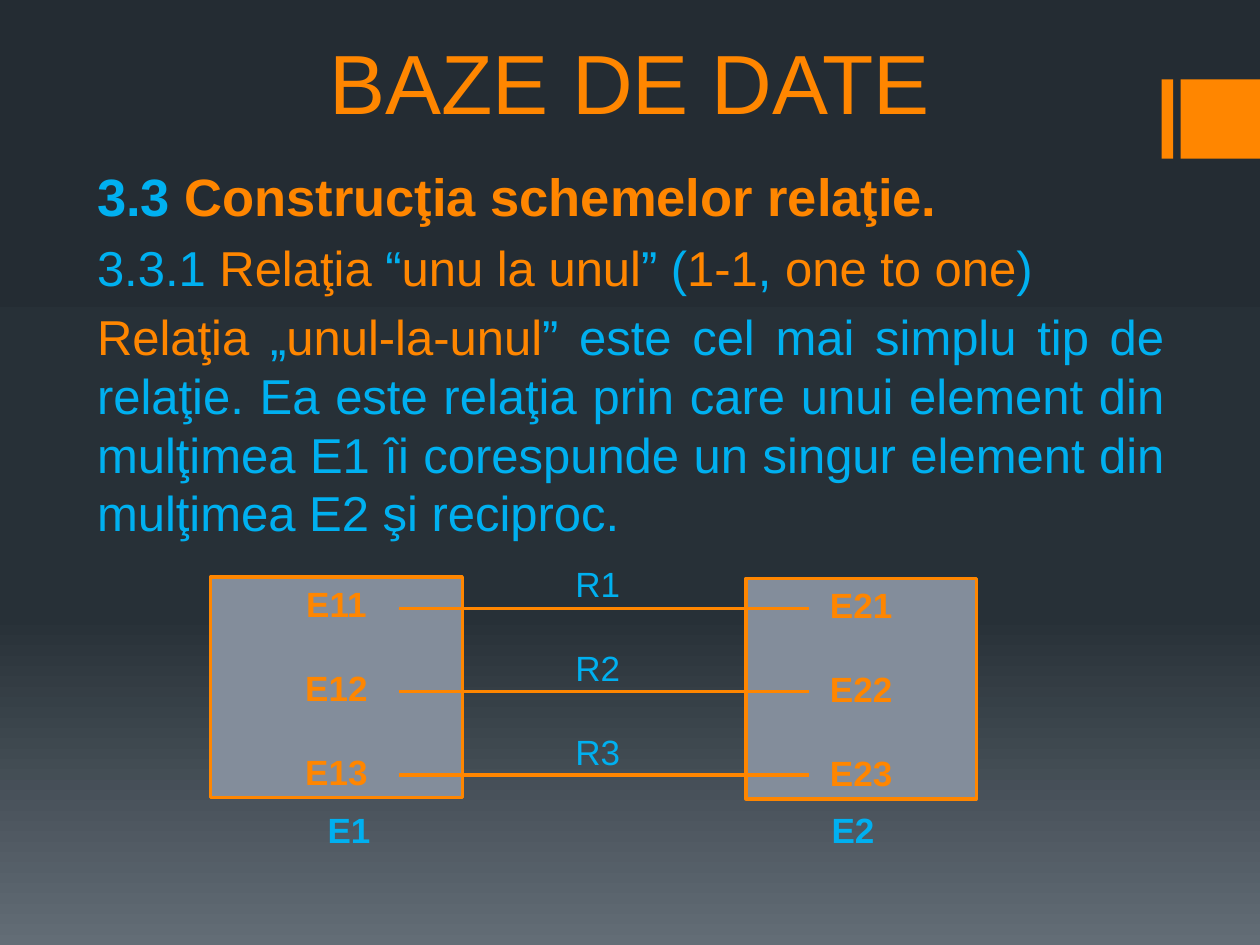
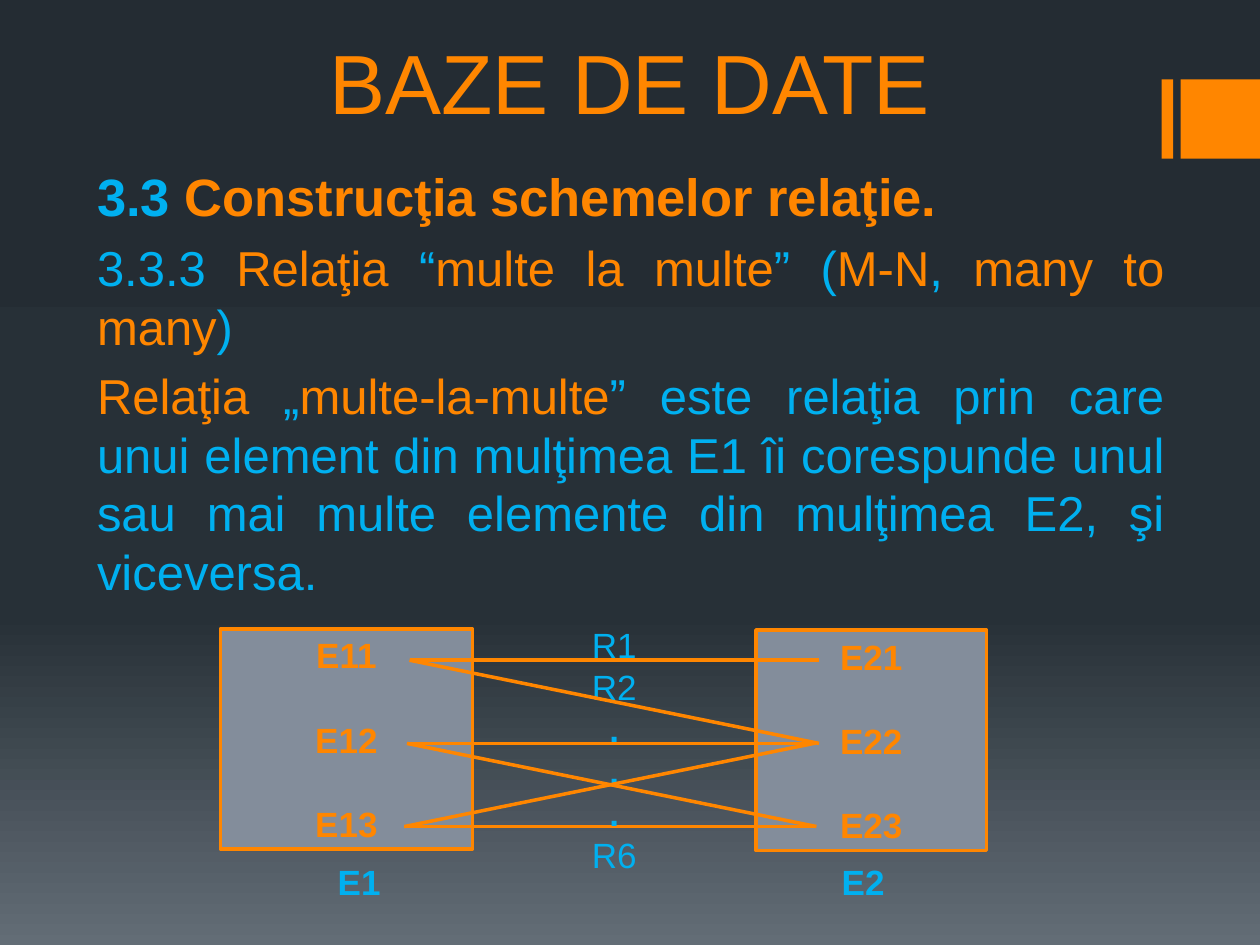
from pptx import Presentation
from pptx import util as u
from pptx.dml.color import RGBColor
from pptx.enum import shapes, text
from pptx.oxml import parse_xml
from pptx.oxml.ns import nsdecls, qn
from lxml import etree

ORANGE = RGBColor(0xFF, 0x86, 0x00)
BLUE = RGBColor(0x00, 0xB0, 0xF0)
GREY = RGBColor(0x83, 0x8D, 0x9B)
BACKDROP = [(0, "242C33"), (65, "273037"), (100, "636D76")]
FONT = "Arial"
LINE_RATIO = 1.2
ROW_TOP, ROW_PITCH = 0.25, 0.66
LINK_START, LINK_END = 1.5, 4.75

PLAIN_FRAME = {"word_wrap": True, "auto_size": text.MSO_AUTO_SIZE.NONE}
MIDDLE_FRAME = {**PLAIN_FRAME, "vertical_anchor": text.MSO_ANCHOR.MIDDLE}
TITLE_FRAME = {**PLAIN_FRAME, "vertical_anchor": text.MSO_ANCHOR.BOTTOM}
BODY_FRAME = {**PLAIN_FRAME, "vertical_anchor": text.MSO_ANCHOR.TOP}
HEADING = {"size": u.Pt(30), "bold": True}
PROSE = {"size": u.Pt(28), "bold": False}
LABEL = {"size": u.Pt(20), "bold": False}
STRONG_LABEL = {**LABEL, "bold": True}

LESSONS = [
    {
        "paragraphs": [
            "3.3.1 |Relaţia |“|unu la unul|” (|1-1|, |one to one|)",
            "|Relaţia |„|unul-la-unul|” este cel mai simplu tip de relaţie. "
            "Ea este relaţia prin care unui element din mulţimea E1 îi "
            "corespunde un singur element din mulţimea E2 şi reciproc.",
        ],
        "diagram": {
            "origin": (1.67, 4.58),
            "relations": ["R1", "R2", "R3"],
            "relations_offset": (2.66, -0.15),
            "relations_gap": 24,
        },
    },
    {
        "paragraphs": [
            "3.3.3 |Relaţia |“|multe la multe|” (|M-N|, |many to many|)",
            "|Relaţia| „|multe-la-multe|” este relaţia prin care unui element "
            "din mulţimea E1 îi corespunde unul sau mai multe elemente din "
            "mulţimea E2, şi viceversa.",
        ],
        "diagram": {
            "origin": (1.75, 4.99),
            "relations": ["R1", "R2", ".", ".", ".", "R6"],
            "relations_offset": (2.71, 0.09),
            "crossings": [(0, 1), (1, 2), (2, 1)],
            "drift": -0.02,
        },
    },
]


def apply(target, values):
    for name, value in values.items():
        setattr(target, name, value)


def inches(*lengths):
    return [u.Inches(length) for length in lengths]


def place(part, left, top, width, height):
    names = ("left", "top", "width", "height")
    apply(part, dict(zip(names, inches(left, top, width, height))))


def write(paragraph, marked, style, align, gap=0):
    apply(paragraph, {
        "alignment": align,
        "line_spacing": u.Pt(style["size"].pt * LINE_RATIO),
        "space_before": u.Pt(gap),
    })
    for index, words in enumerate(marked.split("|")):
        if words:
            run = paragraph.add_run()
            run.text = words
            apply(run.font, {**style, "name": FONT})
            run.font.color.rgb = ORANGE if index % 2 else BLUE


def paragraphs_of(frame, count):
    return [frame.paragraphs[0]] + [frame.add_paragraph() for _ in range(count - 1)]


def set_backdrop(master):
    stops = "".join(
        f'<a:gs pos="{position * 1000}"><a:srgbClr val="{colour}"/></a:gs>'
        for position, colour in BACKDROP
    )
    content = master.element.find(qn("p:cSld"))
    for old in content.findall(qn("p:bg")):
        content.remove(old)
    content.insert(0, parse_xml(
        f'<p:bg {nsdecls("p", "a")}><p:bgPr><a:gradFill rotWithShape="1">'
        f'<a:gsLst>{stops}</a:gsLst><a:lin ang="5400000" scaled="0"/>'
        '</a:gradFill><a:effectLst/></p:bgPr></p:bg>'
    ))


def add_block(slide, box, fill, outline=None):
    block = slide.shapes.add_shape(shapes.MSO_SHAPE.RECTANGLE, *inches(*box))
    block.shadow.inherit = False
    block.fill.solid()
    block.fill.fore_color.rgb = fill
    if outline is None:
        block.line.fill.background()
    else:
        block.line.color.rgb = outline
        block.line.width = u.Pt(2)
    return block


def move_accent_to_master(slide, master):
    for left, width in ((9.22, 0.09), (9.37, 0.63)):
        bar = add_block(slide, (left, 0.63, width, 0.63), ORANGE)
        master.shapes.element.append(bar.element)


def fill_title(slide):
    title = slide.shapes.title
    place(title, 0.75, 0, 8.5, 1.09)
    apply(title.text_frame, TITLE_FRAME)
    paragraph = title.text_frame.paragraphs[0]
    paragraph.alignment = text.PP_ALIGN.CENTER
    run = paragraph.add_run()
    run.text = "BAZE DE DATE"
    apply(run.font, {"name": FONT, "size": u.Pt(48), "bold": False})
    run.font.color.rgb = ORANGE


def fill_body(slide, paragraphs):
    body = slide.placeholders[1]
    place(body, 0.67, 1.25, 8.67, 5.58)
    apply(body.text_frame, BODY_FRAME)
    heading, *prose = paragraphs_of(body.text_frame, len(paragraphs) + 1)
    write(heading, "3.3 |Construcţia schemelor relaţie.", HEADING, text.PP_ALIGN.LEFT)
    for paragraph, marked in zip(prose, paragraphs):
        write(paragraph, marked, PROSE, text.PP_ALIGN.JUSTIFY, 6)


def write_labels(frame, labels, style, gap):
    apply(frame, MIDDLE_FRAME)
    for index, paragraph in enumerate(paragraphs_of(frame, len(labels))):
        label = labels[index]
        label_style = STRONG_LABEL if label == "." else style
        write(paragraph, label, label_style, text.PP_ALIGN.CENTER, gap if index else 0)


def add_entity_set(slide, box, number):
    entities = add_block(slide, box, GREY, ORANGE)
    labels = [f"|E{number}{row}" for row in (1, 2, 3)]
    write_labels(entities.text_frame, labels, STRONG_LABEL, 24)


def add_links(slide, left, top, links, drift):
    for start, end in links:
        shift = left + drift * start
        link = slide.shapes.add_connector(shapes.MSO_CONNECTOR.STRAIGHT, *inches(
            shift + LINK_START, top + ROW_TOP + ROW_PITCH * start,
            shift + LINK_END, top + ROW_TOP + ROW_PITCH * end,
        ))
        link.line.color.rgb = ORANGE
        link.line.width = u.Pt(2)
        etree.SubElement(link.element.spPr, qn("a:effectLst"))


def add_set_names(slide, left, top):
    names = slide.shapes.add_textbox(*inches(left, top, 4.75, 0.33))
    apply(names.text_frame, {**MIDDLE_FRAME, "margin_left": u.Inches(0.2)})
    paragraph = names.text_frame.paragraphs[0]
    write(paragraph, "E1\tE2", STRONG_LABEL, text.PP_ALIGN.LEFT)
    tabs = etree.SubElement(paragraph._p.get_or_add_pPr(), qn("a:tabLst"))
    etree.SubElement(tabs, qn("a:tab"), pos=str(u.Inches(4)), algn="l")


def add_diagram(slide, origin, relations, relations_offset,
                relations_gap=0, crossings=(), drift=0):
    left, top = origin
    add_entity_set(slide, (left, top, 2, 1.75), 1)
    add_entity_set(slide, (left + 4.25, top + 0.01, 1.83, 1.75), 2)
    add_links(slide, left, top, [(row, row) for row in range(3)], drift)
    across, down = relations_offset
    names = slide.shapes.add_textbox(*inches(left + across, top + down, 0.83, 1.74))
    write_labels(names.text_frame, relations, LABEL, relations_gap)
    add_set_names(slide, left + 0.73, top + 1.84)
    add_links(slide, left, top, crossings, drift)


def main():
    deck = Presentation()
    deck.slide_width, deck.slide_height = inches(10, 7.5)
    set_backdrop(deck.slide_master)
    for index, lesson in enumerate(LESSONS):
        slide = deck.slides.add_slide(deck.slide_layouts[0])
        if index == 0:
            move_accent_to_master(slide, deck.slide_master)
        fill_title(slide)
        fill_body(slide, lesson["paragraphs"])
        add_diagram(slide, **lesson["diagram"])
    deck.save("out.pptx")


if __name__ == "__main__":
    main()
